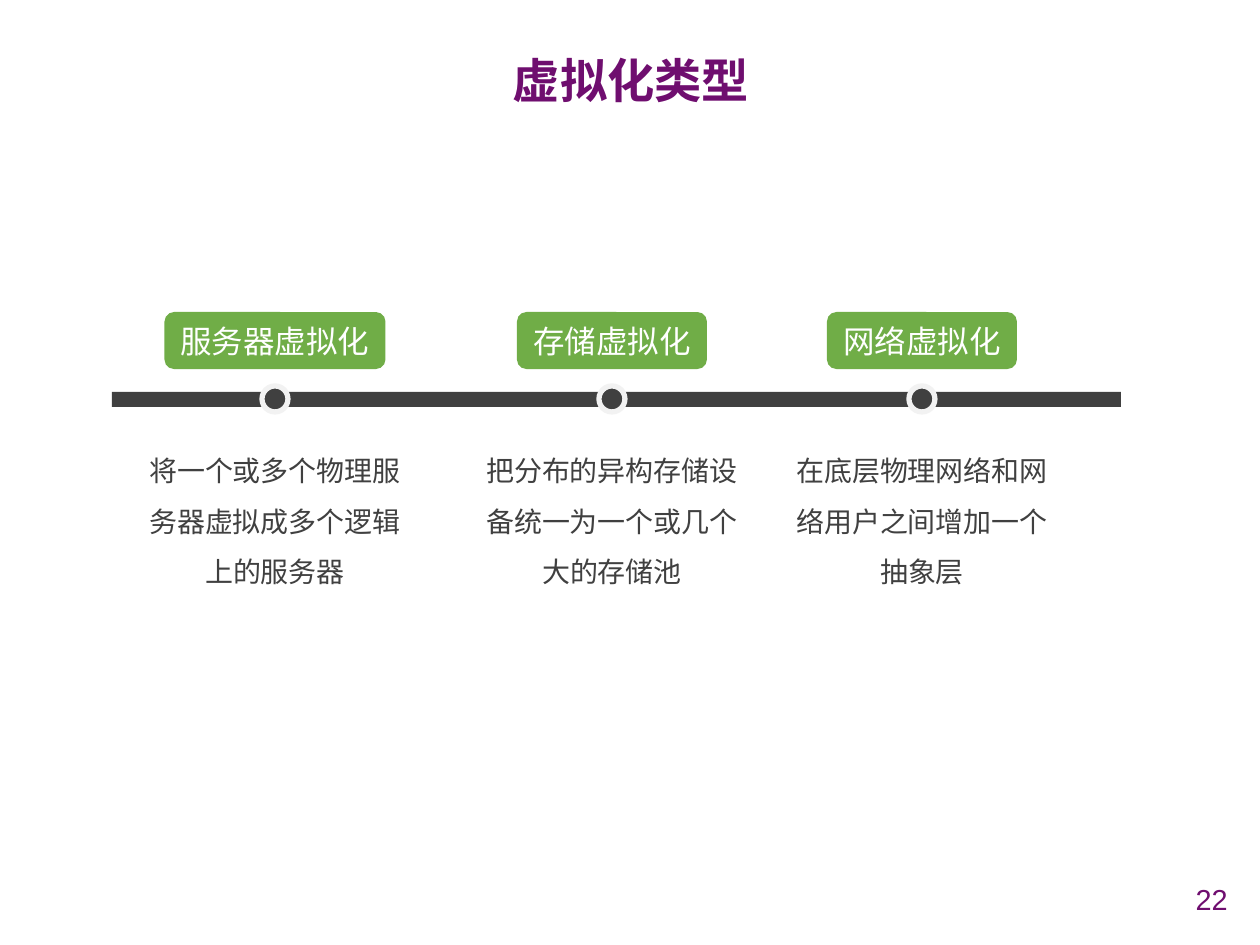
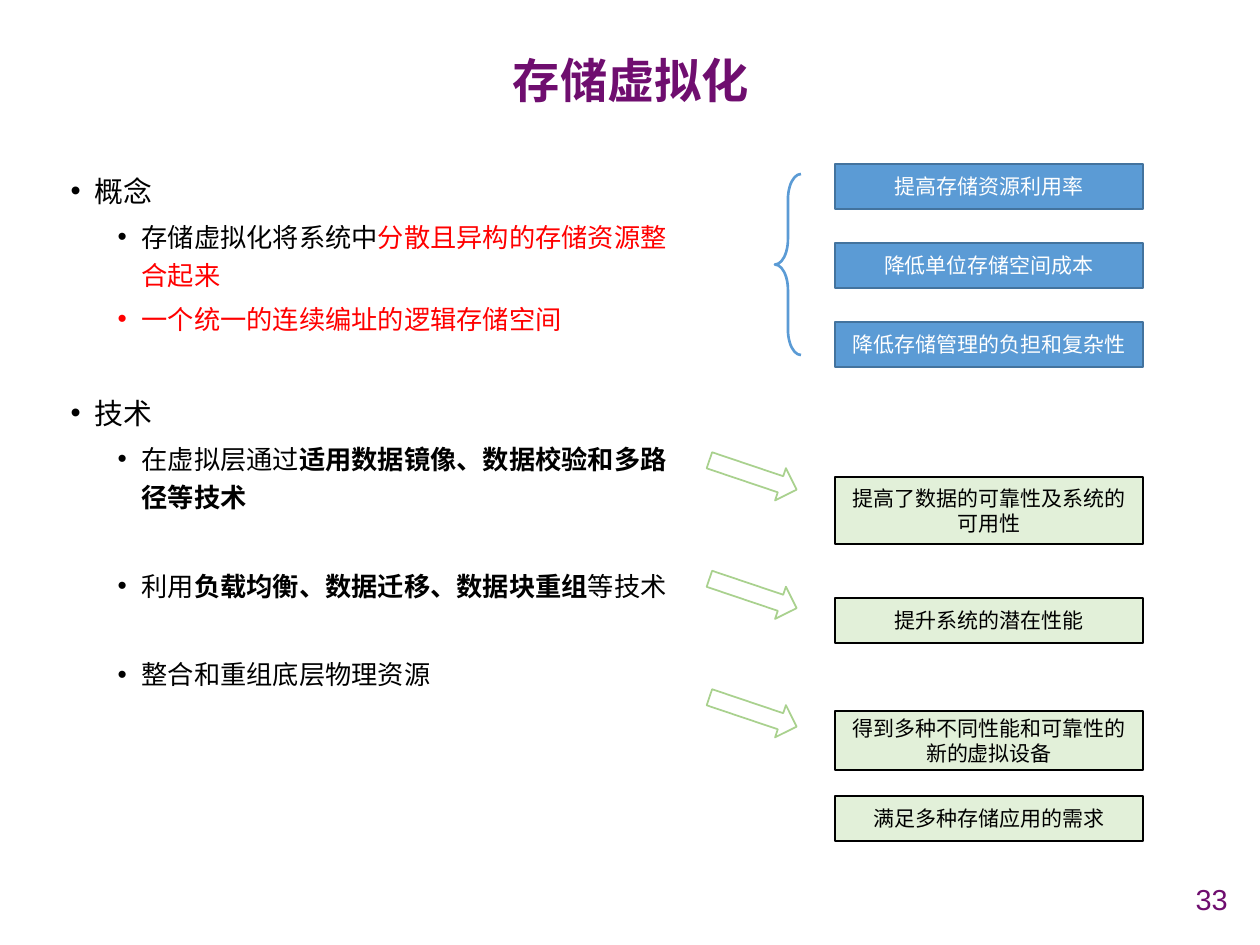
from lxml.etree import SubElement
from pptx import Presentation
from pptx.dml.color import RGBColor
from pptx.enum.shapes import MSO_SHAPE
from pptx.enum.text import MSO_ANCHOR, MSO_AUTO_SIZE, PP_ALIGN
from pptx.oxml.ns import qn
from pptx.util import Emu, Pt

HUES = {
    "plum": "6F0E6F", "leaf": "70AD47", "mint": "E2F0D9", "lime": "A9D18E",
    "blue": "5B9BD5", "navy": "43739E", "gray": "404040", "pale": "F2F2F2",
    "red": "FF0000", "black": "000000", "white": "FFFFFF",
}
HAN = "Noto Sans CJK SC"
TITLE = (58, 39, 1146, 89)
PAGE = (1152, 879, 88, 39)


def px(count):
    return Emu(round(count * 914400 / 126))


def hue(name):
    return RGBColor.from_string(HUES[name])


def place(shape, box):
    shape.left, shape.top, shape.width, shape.height = map(px, box)
    return shape


def write(par, text, size=12, color="black", face=HAN, bold=False,
          align=None, lead=None, before=0):
    par.alignment = align
    par.line_spacing = lead
    par.space_before = Pt(before)
    run = par.add_run()
    run.text = text
    font = run.font
    font.size, font.bold, font.name = Pt(size), bold, face
    font.color.rgb = hue(color)
    SubElement(run._r.get_or_add_rPr(), qn("a:ea"), typeface=HAN)


def frame(shape, anchor=MSO_ANCHOR.MIDDLE, wrap=True):
    text = shape.text_frame
    text.auto_size = MSO_AUTO_SIZE.NONE
    text.word_wrap = wrap
    text.vertical_anchor = anchor
    return text


def draw(slide, kind, box, fill=None, line=None, width=1):
    shape = slide.shapes.add_shape(kind, *map(px, box))
    shape.shadow.inherit = False
    if fill:
        shape.fill.solid()
        shape.fill.fore_color.rgb = hue(fill)
    else:
        shape.fill.background()
    if line:
        shape.line.color.rgb = hue(line)
        shape.line.width = Pt(width)
    else:
        shape.line.fill.background()
    return shape


def note(slide, box, text, anchor=MSO_ANCHOR.MIDDLE, **style):
    shape = slide.shapes.add_textbox(*map(px, box))
    write(frame(shape, anchor).paragraphs[0], text, **style)


def start(deck, layout, title, page):
    slide = deck.slides.add_slide(deck.slide_layouts[layout])
    head = place(slide.shapes.title, TITLE)
    write(frame(head).paragraphs[0], title, size=27, color="plum", bold=True,
          align=PP_ALIGN.CENTER, lead=0.9)
    note(slide, PAGE, page, size=16.5, color="plum", face="Arial",
         align=PP_ALIGN.RIGHT)
    return slide


def track(slide, box, stops):
    x, y, w, h = box
    draw(slide, MSO_SHAPE.RECTANGLE, (x, y + 80, w, 15), "gray")
    for mid, wide, name, text in stops:
        mid += x
        tag = draw(slide, MSO_SHAPE.ROUNDED_RECTANGLE,
                   (mid - wide / 2, y, wide, 57), "leaf")
        write(frame(tag, wrap=False).paragraphs[0], name, size=18,
              color="white", face="Calibri", align=PP_ALIGN.CENTER)
        draw(slide, MSO_SHAPE.OVAL, (mid - 13, y + 74, 26, 26),
             "gray", "pale", 3)
        note(slide, (mid - 150, y + 119, 300, h - 119), text,
             MSO_ANCHOR.TOP, size=16, color="gray",
             align=PP_ALIGN.CENTER, lead=1.5)


def mark(par, level):
    par.level = level
    props = par._p.get_or_add_pPr()
    props.set("marL", str(px(71 if level else 24)))
    props.set("indent", str(-px(24)))
    SubElement(props, qn("a:buFont"), typeface="Arial")
    SubElement(props, qn("a:buChar"), char="•")


def outline(slide, box, items):
    text = frame(place(slide.placeholders[1], box), MSO_ANCHOR.TOP)
    for i, (level, before, parts) in enumerate(items):
        par = text.add_paragraph() if i else text.paragraphs[0]
        mark(par, level)
        for words, style in parts:
            write(par, words, size=15 if level else 16.5, lead=Pt(21.6),
                  before=before, **style)


def card(slide, box, text, fill, line, color):
    shape = draw(slide, MSO_SHAPE.RECTANGLE, box, fill, line)
    write(frame(shape).paragraphs[0], text, color=color, face="Calibri",
          align=PP_ALIGN.CENTER)


def gains(slide, box, names):
    x, y, w, h = box
    brace = draw(slide, MSO_SHAPE.LEFT_BRACE, (x, y + 10, 26, h - 22),
                 line="blue", width=1.5)
    brace.adjustments[0] = 0.98
    step = (h - 45) / (len(names) - 1)
    for i, name in enumerate(names):
        card(slide, (x + 60, y + i * step, w - 60, 45), name,
             "blue", "navy", "white")


def results(slide, box, rows):
    x, y, w, h = box
    for i in range(3):
        arrow = draw(slide, MSO_SHAPE.RIGHT_ARROW,
                     (x, y + 118.5 * i, 92, 34), line="lime")
        arrow.rotation = 18.6
    for top, high, name in rows:
        card(slide, (x + 128, y + top, w - 128, high), name,
             "mint", "black", "black")


def kinds(deck):
    slide = start(deck, 5, "虚拟化类型", "22")
    track(slide, (112, 312, 1009, 284), [
        (163, 221, "服务器虚拟化", "将一个或多个物理服务器虚拟成多个逻辑上的服务器"),
        (500, 190, "存储虚拟化", "把分布的异构存储设备统一为一个或几个大的存储池"),
        (810, 190, "网络虚拟化", "在底层物理网络和网络用户之间增加一个抽象层"),
    ])


def store(deck):
    slide = start(deck, 1, "存储虚拟化", "33")
    red, bold = {"color": "red"}, {"bold": True}
    outline(slide, (58, 164, 627, 714), [
        (0, 0, [("概念", {})]),
        (1, 3.8, [("存储虚拟化将系统中", {}), ("分散且异构的存储资源整合起来", red)]),
        (1, 3.8, [("一个统一的连续编址的逻辑存储空间", red)]),
        (0, 32.9, [("技术", {})]),
        (1, 3.8, [("在虚拟层通过", {}),
                  ("适用数据镜像、数据校验和多路径等技术", bold)]),
        (1, 29.2, [("利用", {}), ("负载均衡、数据迁移、数据块重组", bold),
                   ("等技术", {})]),
        (1, 29.2, [("整合和重组底层物理资源", {})]),
    ])
    gains(slide, (775, 164, 368, 203), [
        "提高存储资源利用率", "降低单位存储空间成本", "降低存储管理的负担和复杂性"])
    results(slide, (707, 458, 436, 383), [
        (19, 67, "提高了数据的可靠性及系统的可用性"),
        (140, 45, "提升系统的潜在性能"),
        (253, 59, "得到多种不同性能和可靠性的新的虚拟设备"),
        (338, 45, "满足多种存储应用的需求"),
    ])


def main():
    deck = Presentation()
    deck.slide_width, deck.slide_height = px(1260), px(945)
    kinds(deck)
    store(deck)
    deck.save("out.pptx")


if __name__ == "__main__":
    main()
